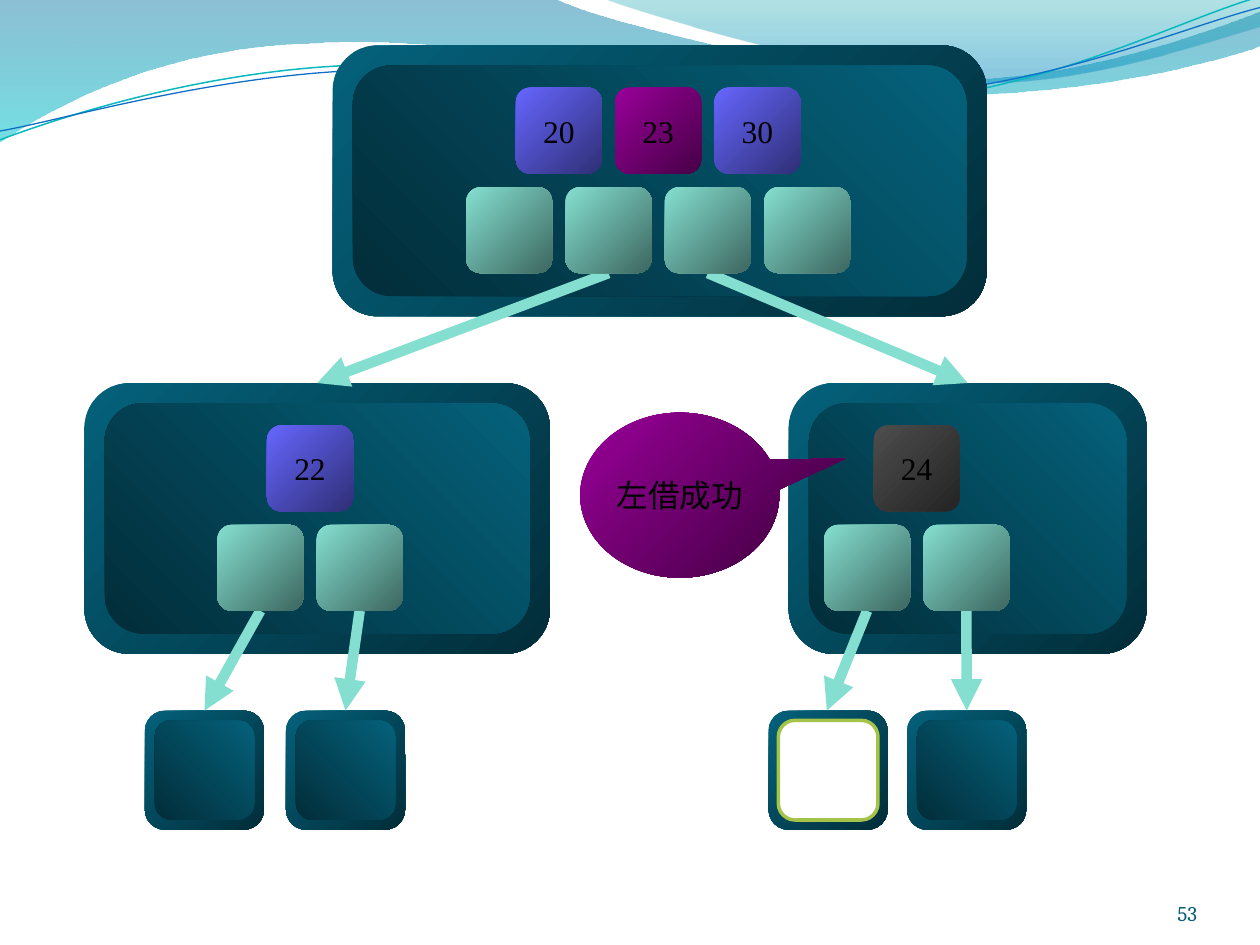
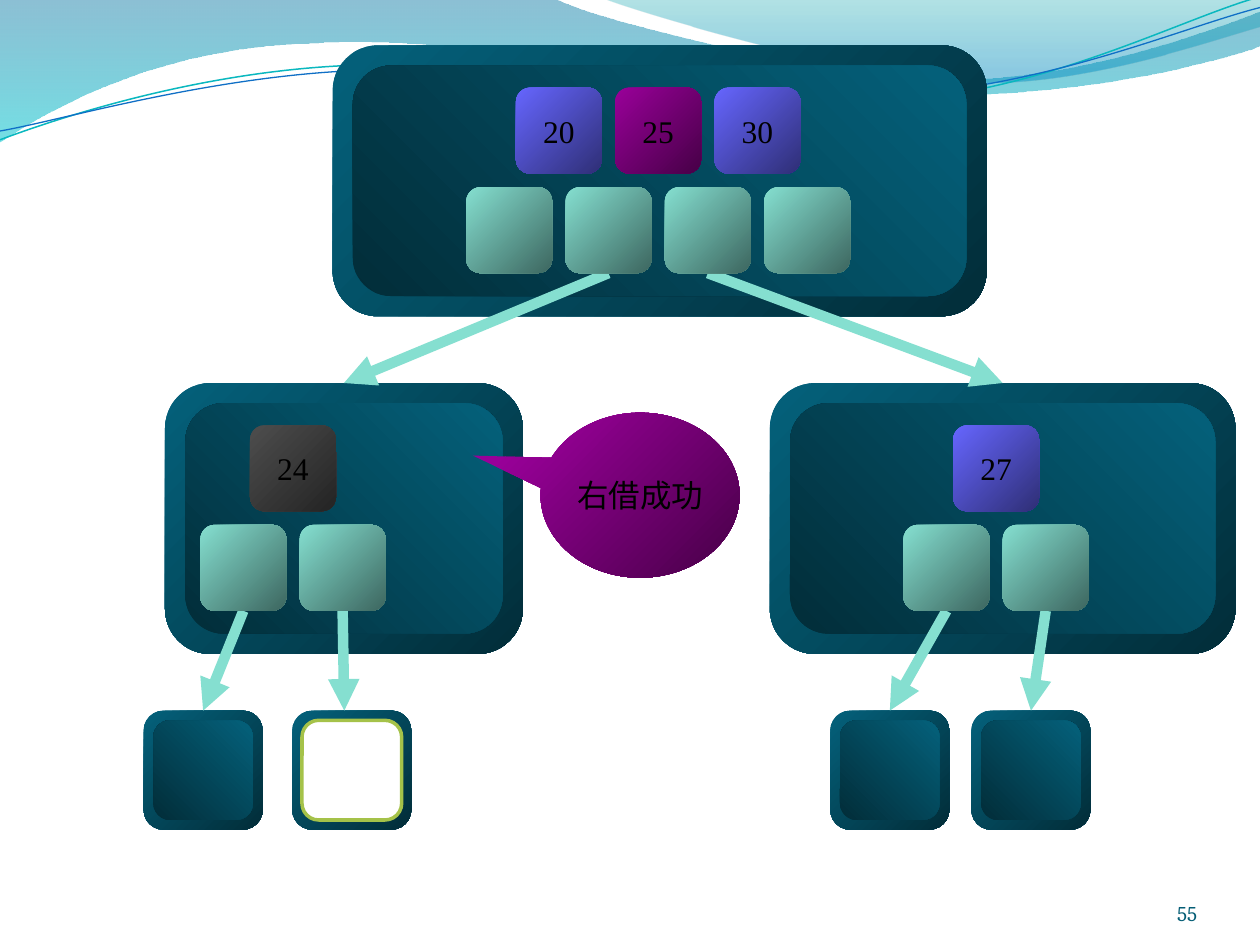
from dataclasses import dataclass
from typing import NamedTuple

from lxml.etree import SubElement
from pptx import Presentation
from pptx.dml.color import RGBColor
from pptx.enum.shapes import MSO_CONNECTOR as Link, MSO_SHAPE as Preset
from pptx.enum.text import MSO_ANCHOR as Anchor, PP_ALIGN as Align
from pptx.oxml.ns import qn
from pptx.shapes.autoshape import Shape
from pptx.slide import Slide
from pptx.util import Inches, Pt

# The slide is a square grid of 100 columns by 75 rows
GRID = Inches(10) // 100
COLUMNS, ROWS = 100, 75

COLORS = {
    "white": "FFFFFF", "ink": "000000", "number": "045D75",
    "teal": "04617B", "teal_dark": "022D39",
    "key": "6666FF", "key_dark": "2F2F76",
    "parent": "990099", "parent_dark": "470047",
    "moved": "4D4D4D", "moved_dark": "242424",
    "pointer": "85DFD0", "pointer_dark": "3D6760",
    "lime": "A5C249", "aqua_line": "0AB8BF", "blue_line": "0F6FC6",
    "wave_blue": "0074A1", "wave_aqua": "00C6CF",
    "crest_green": "00A1A9", "crest_blue": "008BBF",
}
DIAGONAL, RISING, DOWNWARD = 315, 45, 270

# Measures of the tree, in grid units
CELL, PITCH = 6.83, 7.88
NODE_HEIGHT, NODE_RIM = 21.5, 1.6
KEY_DROP, POINTER_DROP = 3.35, 11.25
LEAF, LEAF_RIM, LEAF_TOP = 9.45, 0.77, 56.4
ROOT_TOP, CHILD_TOP = 3.6, 30.4
WIDE, NARROW = 36.95, 28.4


class Stop(NamedTuple):
    color: str
    opacity: int = 100
    position: float = 1.0


class Key(NamedTuple):
    label: str
    color: str = "key"


class Leaf(NamedTuple):
    left: float
    changed: bool = False
    arrow_shift: float = 0


class Callout(NamedTuple):
    text: str
    left: float
    tip: tuple[float, float]


@dataclass
class Node:
    left: float
    width: float
    first_pointer: float
    keys: list[Key]
    leaves: tuple[Leaf, ...] = ()
    top: float = CHILD_TOP


@dataclass
class Borrowing:
    number: str
    separator: str
    left_child: Node
    right_child: Node
    callout: Callout


@dataclass
class Wave:
    start: tuple[float, float]
    segments: list[tuple[float, ...]]  # two numbers: line, six: curve
    stops: tuple[Stop, ...] = ()
    line: str = ""
    weight: float = 0


WAVES = [
    Wave((0, 0), [
        (44, -0.1), (47.6, 1.7, 66.4, 6.3, 75.8, 6.3),
        (85.3, 6.3, 95.8, 2.6, 100, 0.9), (100.1, 3.6),
        (98.3, 4.4, 87, 7.6, 74.6, 7.5), (62.2, 7.5, 38.2, 2.8, 25.7, 3.4),
        (12.9, 3.6, 4.6, 8.3, -0.1, 11.3), (0, 0)],
        (Stop("wave_blue", 45, 0), Stop("wave_aqua", 55))),
    Wave((47.9, -0.1), [
        (50.9, 1.1, 68.2, 6.2, 76.9, 6.5), (85.6, 6.9, 96.1, 3.2, 100, 2.1),
        (100, 0), (47.9, -0.1)],
        (Stop("crest_green", 30, 0), Stop("crest_blue", 45, 0.8))),
    Wave((0, 11.1), [
        (4.8, 9.3, 15.8, 5.7, 27.7, 5.2), (39.5, 4.7, 59.3, 8.9, 71.3, 8),
        (83.3, 7.1, 93.8, 1.5, 99.8, -0.2)], line="aqua_line", weight=0.85),
    Wave((0, 10.4), [
        (4.7, 9.6, 16.4, 6.1, 28.3, 5.6), (40.3, 5.1, 59.7, 8.4, 71.7, 7.5),
        (83.6, 6.7, 94.1, 2.1, 100, 0.6)], line="blue_line", weight=0.75),
]

BORROWINGS = [
    Borrowing(
        "53", "23",
        Node(6.7, WIDE, 17.25, [Key("22")], (Leaf(11.5), Leaf(22.7))),
        Node(62.6, NARROW, 65.4, [Key("24", "moved")],
             (Leaf(61, changed=True, arrow_shift=-0.1), Leaf(72))),
        Callout("左借成功", 46.05, (0.83, -0.22))),
    Borrowing(
        "55", "25",
        Node(13.1, NARROW, 15.9, [Key("24", "moved")],
             (Leaf(11.4), Leaf(23.2, changed=True, arrow_shift=-0.6))),
        Node(61.1, WIDE, 71.7, [Key("27")], (Leaf(65.9), Leaf(77.1))),
        Callout("右借成功", 42.9, (-0.84, -0.24))),
]


def rgb(name: str) -> RGBColor:
    return RGBColor.from_string(COLORS[name])


def units(*lengths: float) -> list[int]:
    return [round(length * GRID) for length in lengths]


def shade(shape: Shape, stops: tuple[Stop, ...], angle: int) -> None:
    shape.fill.gradient()
    shape.fill.gradient_angle = angle
    for target, stop in zip(shape.fill.gradient_stops, stops):
        target.position = stop.position
        target.color.rgb = rgb(stop.color)
    for tint, stop in zip(shape._element.spPr.iter(qn("a:srgbClr")), stops):
        if stop.opacity < 100:
            SubElement(tint, qn("a:alpha"), val=str(stop.opacity * 1000))


def add_block(slide: Slide, preset: Preset, left: float, top: float, width: float,
              height: float, first: str, last: str, angle: int = DIAGONAL) -> Shape:
    block = slide.shapes.add_shape(preset, *units(left, top, width, height))
    block.shadow.inherit = False
    block.line.fill.background()
    shade(block, (Stop(first, position=0), Stop(last)), angle)
    return block


def add_cell(slide: Slide, left: float, top: float, color: str) -> Shape:
    return add_block(slide, Preset.ROUNDED_RECTANGLE, left, top, CELL, CELL,
                     color, color + "_dark")


def write(shape: Shape, text: str, font: str, size: int = 18, color: str = "ink",
          align: Align = Align.CENTER, anchor: Anchor = Anchor.MIDDLE) -> None:
    frame = shape.text_frame
    frame.word_wrap = False
    frame.vertical_anchor = anchor
    paragraph = frame.paragraphs[0]
    paragraph.alignment = align
    run = paragraph.add_run()
    run.text = text
    run.font.name, run.font.size = font, Pt(size)
    run.font.color.rgb = rgb(color)


def add_panel(slide: Slide, left: float, top: float, width: float, height: float,
              rim: float) -> tuple[Shape, Shape]:
    """Bevelled plate: an outer frame and an inner face lit the other way."""
    frame = add_block(slide, Preset.ROUNDED_RECTANGLE, left, top, width, height,
                      "teal", "teal_dark")
    face = add_block(slide, Preset.ROUNDED_RECTANGLE, left + rim, top + rim,
                     width - 2 * rim, height - 2 * rim, "teal_dark", "teal", RISING)
    return frame, face


def add_node(slide: Slide, node: Node) -> tuple[Shape, list[Shape]]:
    frame, _ = add_panel(slide, node.left, node.top, node.width, NODE_HEIGHT, NODE_RIM)
    for index, key in enumerate(node.keys):
        cell = add_cell(slide, node.first_pointer + (index + 0.5) * PITCH,
                        node.top + KEY_DROP, key.color)
        write(cell, key.label, "Times New Roman")
    pointers = [add_cell(slide, node.first_pointer + index * PITCH,
                         node.top + POINTER_DROP, "pointer")
                for index in range(len(node.keys) + 1)]
    return frame, pointers


def add_leaf(slide: Slide, leaf: Leaf) -> Shape:
    frame, face = add_panel(slide, leaf.left, LEAF_TOP, LEAF, LEAF, LEAF_RIM)
    if leaf.changed:
        face.fill.solid()
        face.fill.fore_color.rgb = rgb("white")
        face.line.color.rgb = rgb("lime")
        face.line.width = Pt(2)
    return frame


def add_arrow(slide: Slide, pointer: Shape, target: Shape, shift: float = 0) -> None:
    arrow = slide.shapes.add_connector(
        Link.STRAIGHT, pointer.left + pointer.width // 2, pointer.top + pointer.height,
        target.left + target.width // 2 + round(shift * GRID), target.top)
    arrow.begin_connect(pointer, 2)
    if not shift:
        arrow.end_connect(target, 0)
    arrow.line.color.rgb = rgb("pointer")
    arrow.line.width = Pt(6)
    SubElement(arrow.line._get_or_add_ln(), qn("a:tailEnd"), type="triangle")
    SubElement(arrow._element.spPr, qn("a:effectLst"))
    # The pointer cell covers the start of its arrow
    slide.shapes._spTree.append(pointer._element)


def bend(outline: Shape, segments: list[tuple[float, ...]]) -> None:
    """Turn each run of three straight steps of a curve into one cubic curve."""
    steps = iter(list(outline._element.iter(qn("a:lnTo"))))
    for segment in segments:
        curve = next(steps)
        if len(segment) == 6:
            curve.tag = qn("a:cubicBezTo")
            for step in (next(steps), next(steps)):
                curve.append(step[0])
                step.getparent().remove(step)


def add_wave(slide: Slide, wave: Wave) -> None:
    builder = slide.shapes.build_freeform(*units(*wave.start))
    points = [units(*segment[at:at + 2])
              for segment in wave.segments for at in range(0, len(segment), 2)]
    builder.add_line_segments(points, close=bool(wave.stops))
    band = builder.convert_to_shape()
    bend(band, wave.segments)
    band.shadow.inherit = False
    if wave.stops:
        shade(band, wave.stops, DOWNWARD)
        band.line.fill.background()
    else:
        band.fill.background()
        band.line.color.rgb = rgb(wave.line)
        band.line.width = Pt(wave.weight)


def add_page_number(slide: Slide, number: str) -> None:
    footer = slide.shapes.add_textbox(*units(86.7, 69.5, 8.3, 4))
    frame = footer.text_frame
    frame.margin_left = frame.margin_right = frame.margin_top = frame.margin_bottom = 0
    write(footer, number, "Cambria", 12, "number", Align.RIGHT, Anchor.BOTTOM)
    frame.word_wrap = True


def add_borrowing(slide: Slide, step: Borrowing) -> None:
    for wave in WAVES:
        add_wave(slide, wave)
    add_page_number(slide, step.number)

    # Tree: root, its two middle children and their leaves
    root = Node(26.4, 51.9, 37, [Key("20"), Key(step.separator, "parent"), Key("30")],
                top=ROOT_TOP)
    _, root_pointers = add_node(slide, root)
    for root_pointer, child in zip(root_pointers[1:3],
                                   (step.left_child, step.right_child)):
        child_frame, child_pointers = add_node(slide, child)
        add_arrow(slide, root_pointer, child_frame)
        for child_pointer, leaf in zip(child_pointers, child.leaves):
            add_arrow(slide, child_pointer, add_leaf(slide, leaf), leaf.arrow_shift)

    # Result of the borrowing
    bubble = add_block(slide, Preset.OVAL_CALLOUT, step.callout.left, 32.75, 15.8, 13.1,
                       "parent", "parent_dark")
    for index, share in enumerate(step.callout.tip):
        bubble.adjustments[index] = share
    write(bubble, step.callout.text, "Cambria")


def main() -> None:
    deck = Presentation()
    deck.slide_width, deck.slide_height = units(COLUMNS, ROWS)
    blank = deck.slide_layouts[6]
    for step in BORROWINGS:
        add_borrowing(deck.slides.add_slide(blank), step)
    deck.save("out.pptx")


if __name__ == "__main__":
    main()
